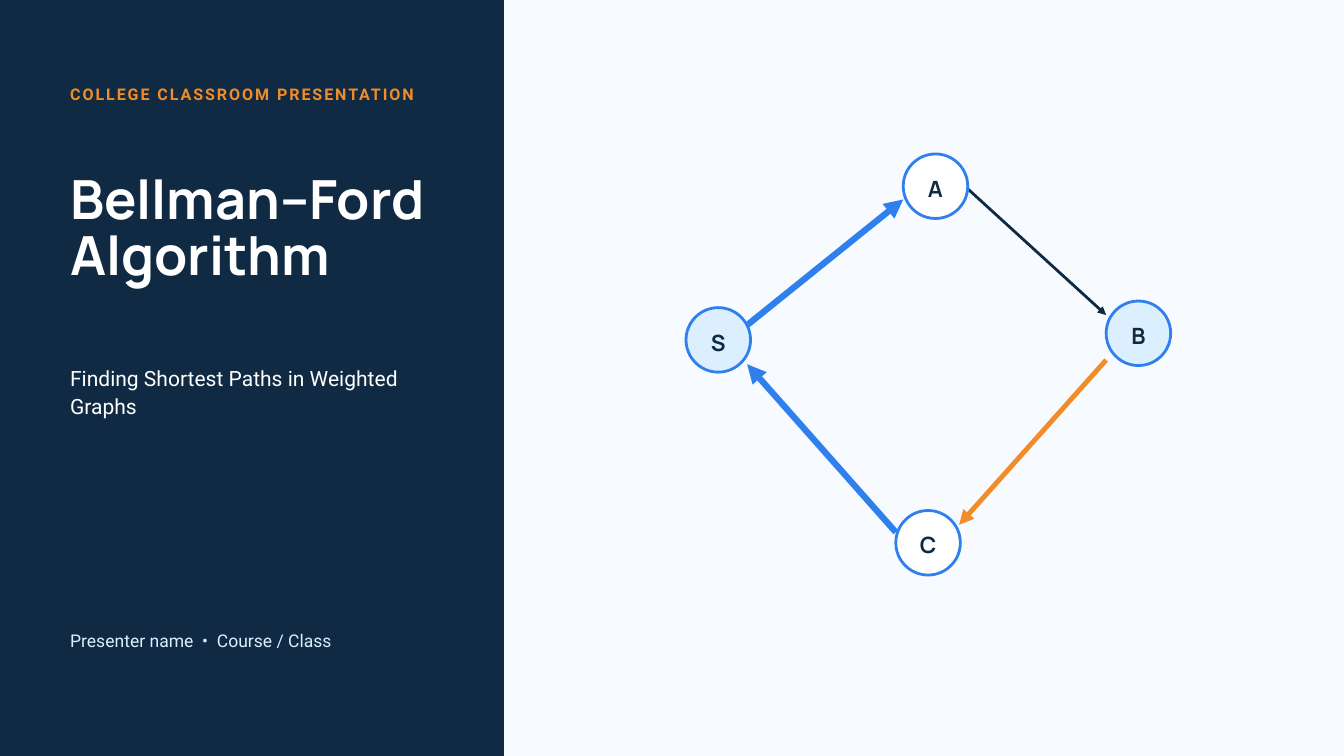
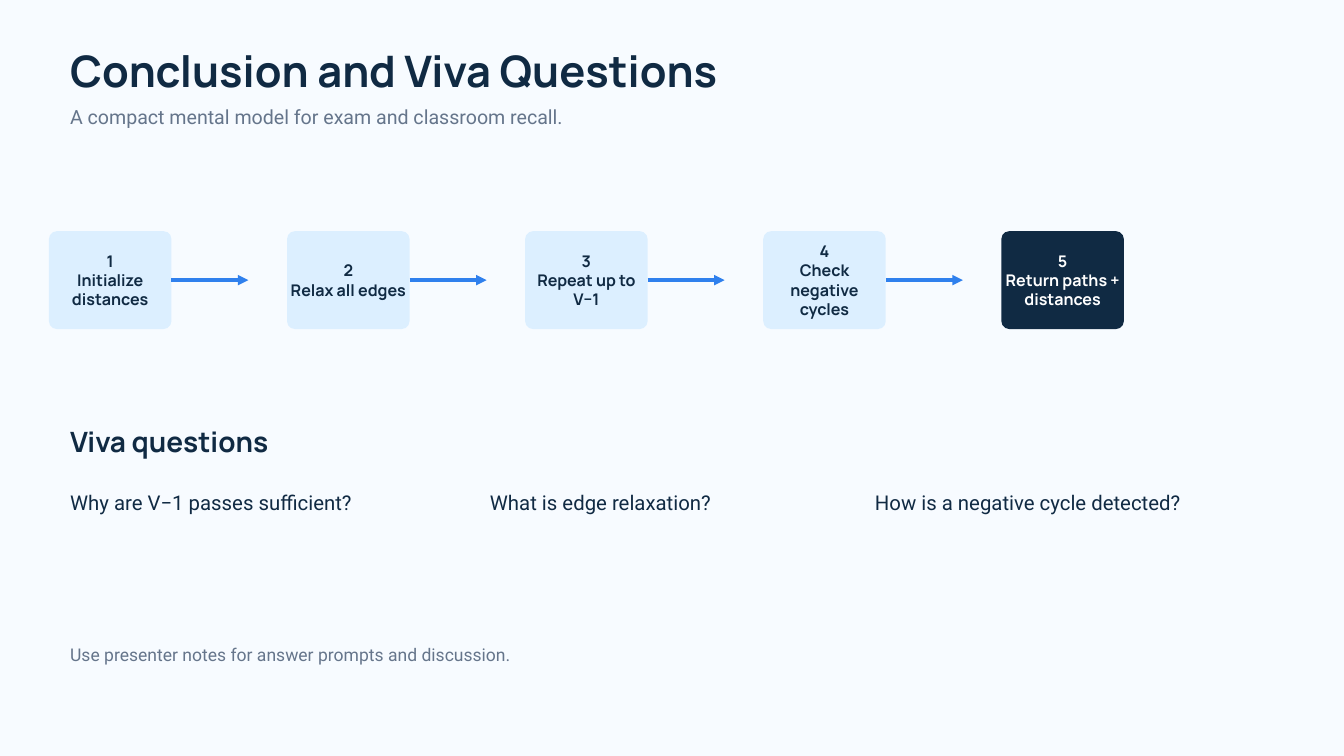
from lxml import etree
from pptx import Presentation
from pptx.dml.color import RGBColor
from pptx.enum.shapes import MSO_CONNECTOR, MSO_SHAPE
from pptx.enum.text import MSO_ANCHOR, MSO_AUTO_SIZE, PP_ALIGN
from pptx.oxml.ns import qn
from pptx.util import Cm, Pt

OVAL, CARD, PANEL = MSO_SHAPE.OVAL, MSO_SHAPE.ROUNDED_RECTANGLE, MSO_SHAPE.RECTANGLE
STRAIGHT = MSO_CONNECTOR.STRAIGHT
TOP, MIDDLE = MSO_ANCHOR.TOP, MSO_ANCHOR.MIDDLE
LEFT, CENTER = PP_ALIGN.LEFT, PP_ALIGN.CENTER
RIGHT_SIDE = 3
TITLE_LAYOUT, TITLE_ONLY_LAYOUT = 0, 5

COLORS = {
    "paper": "F7FBFF", "navy": "102A43", "sky": "DCEFFF", "blue": "2F80ED",
    "orange": "F28C28", "slate": "65758B", "white": "FFFFFF",
}

# font, size, bold, line spacing in points, colour
STYLES = {
    "eyebrow": ("Roboto", 17.2, True, 24.1, "orange"),
    "cover title": ("Manrope", 57.8, True, 60.6, "white"),
    "cover subtitle": ("Roboto", 22.5, False, 30.4, "white"),
    "presenter": ("Roboto", 18.8, False, 26.2, "sky"),
    "node": ("Manrope", 24, True, 33.6, "navy"),
    "title": ("Manrope", 46.5, True, 48.8, "navy"),
    "subtitle": ("Roboto", 21, False, 27.3, "slate"),
    "step": ("Manrope", 17.2, True, 20.7, "navy"),
    "last step": ("Manrope", 17.2, True, 20.7, "white"),
    "heading": ("Manrope", 30, True, 31.5, "navy"),
    "question": ("Roboto", 21.8, False, 28.3, "navy"),
    "note": ("Roboto", 18.8, False, 24.4, "slate"),
}

# Lengths below are centimetres.
SLIDE_WIDTH, SLIDE_HEIGHT = 50.8, 28.58
MARGIN = 2.65
PANEL_WIDTH = 19.05

COVER_TITLE = ["Bellman–Ford", "Algorithm"]
COVER_SUBTITLE = ["Finding Shortest Paths in Weighted Graphs"]
EYEBROW = ["COLLEGE CLASSROOM PRESENTATION"]
PRESENTER = ["Presenter name  •  Course / Class"]

NODE_SIZE = 2.44
NODES = [  # label, left, top, fill
    ("S", 25.93, 11.63, "sky"),
    ("A", 34.14, 5.82, "white"),
    ("B", 41.81, 11.38, "sky"),
    ("C", 33.86, 19.3, "white"),
]
EDGES = [  # start, end, colour, weight
    ((28.24, 12.29), (34.14, 7.54), "blue", 6.75),
    ((36.58, 7.14), (41.81, 11.91), "navy", 3),
    ((41.81, 13.61), (36.25, 19.84), "orange", 5.25),
    ((33.86, 20.12), (28.24, 13.77), "blue", 6.75),
]

STEPS = ["Initialize distances", "Relax all edges", "Repeat up to V−1",
         "Check negative cycles", "Return paths + distances"]
STEP_LEFT, STEP_TOP, STEP_PITCH = 1.85, 8.74, 9
STEP_WIDTH, STEP_HEIGHT, STEP_ARROW = 4.63, 3.7, 2.91

QUESTIONS = [  # text, left, width
    ("Why are V−1 passes sufficient?", MARGIN, 14.02),
    ("What is edge relaxation?", 18.52, 11.38),
    ("How is a negative cycle detected?", 33.07, 14.8),
]


def color(name):
    return RGBColor.from_string(COLORS[name])


def write(shape, lines, style, align=LEFT, anchor=TOP, inset=(0, 0)):
    """Fill a shape with one paragraph per line; inset is (sides, top and bottom)."""
    font_name, size, bold, spacing, ink = STYLES[style]
    side, end = map(Cm, inset)
    frame = shape.text_frame
    frame_format = {
        "word_wrap": True, "auto_size": MSO_AUTO_SIZE.NONE, "vertical_anchor": anchor,
        "margin_left": side, "margin_right": side, "margin_top": end, "margin_bottom": end,
    }
    for name, value in frame_format.items():
        setattr(frame, name, value)
    frame.text = "\n".join(lines)
    paragraph_format = {"alignment": align, "line_spacing": Pt(spacing),
                        "space_before": Pt(0), "space_after": Pt(0)}
    for paragraph in frame.paragraphs:
        for name, value in paragraph_format.items():
            setattr(paragraph, name, value)
        for run in paragraph.runs:
            for name, value in {"name": font_name, "size": Pt(size), "bold": bold}.items():
                setattr(run.font, name, value)
            run.font.color.rgb = color(ink)


def fill_placeholder(placeholder, lines, style, box):
    for name, value in zip(("left", "top", "width", "height"), box):
        setattr(placeholder, name, Cm(value))
    write(placeholder, lines, style)


def add_text(slide, lines, style, box):
    textbox = slide.shapes.add_textbox(*map(Cm, box))
    write(textbox, lines, style)
    return textbox


def add_block(slide, kind, box, fill, outline=None):
    block = slide.shapes.add_shape(kind, *map(Cm, box))
    block.shadow.inherit = False
    block.fill.solid()
    block.fill.fore_color.rgb = color(fill)
    if outline:
        block.line.color.rgb = color(outline)
        block.line.width = Pt(3)
    else:
        block.line.fill.background()
    return block


def add_arrow(slide, start, end, ink, weight):
    arrow = slide.shapes.add_connector(STRAIGHT, *map(Cm, (*start, *end)))
    arrow.line.color.rgb = color(ink)
    arrow.line.width = Pt(weight)
    etree.SubElement(arrow.line._get_or_add_ln(), qn("a:tailEnd"), type="triangle")
    etree.SubElement(arrow._element.spPr, qn("a:effectLst"))
    return arrow


def build_cover(prs):
    slide = prs.slides.add_slide(prs.slide_layouts[TITLE_LAYOUT])
    title, subtitle = slide.placeholders
    panel = add_block(slide, PANEL, (0, 0, PANEL_WIDTH, SLIDE_HEIGHT), "navy")
    title._element.addprevious(panel._element)  # keeps the panel behind the title

    eyebrow = add_text(slide, EYEBROW, "eyebrow", (MARGIN, 3.07, 13.23, 0.84))
    for run in eyebrow.text_frame.paragraphs[0].runs:
        run._r.get_or_add_rPr().set("spc", "210")
    fill_placeholder(title, COVER_TITLE, "cover title", (MARGIN, 6.55, 14.81, 4.47))
    fill_placeholder(subtitle, COVER_SUBTITLE, "cover subtitle", (MARGIN, 13.69, 13.49, 2.08))
    add_text(slide, PRESENTER, "presenter", (MARGIN, 23.7, 13.23, 0.89))

    for edge in EDGES:
        add_arrow(slide, *edge)
    for label, left, top, fill in NODES:
        node = add_block(slide, OVAL, (left, top, NODE_SIZE, NODE_SIZE), fill, "blue")
        write(node, [label], "node", CENTER, MIDDLE)


def build_conclusion(prs):
    slide = prs.slides.add_slide(prs.slide_layouts[TITLE_ONLY_LAYOUT])
    fill_placeholder(slide.shapes.title, ["Conclusion and Viva Questions"], "title",
                     (MARGIN, 1.93, 39.67, 1.88))
    add_text(slide, ["A compact mental model for exam and classroom recall."], "subtitle",
             (MARGIN, 3.89, 41.02, 0.97))

    for number, step in enumerate(STEPS, 1):
        is_last = number == len(STEPS)
        left = STEP_LEFT + (number - 1) * STEP_PITCH
        card = add_block(slide, CARD, (left, STEP_TOP, STEP_WIDTH, STEP_HEIGHT),
                         "navy" if is_last else "sky")
        card.adjustments[0] = 0.08
        write(card, [str(number), step], "last step" if is_last else "step",
              CENTER, MIDDLE, (0.05, 0.05))
        if not is_last:
            right, middle = left + STEP_WIDTH, STEP_TOP + STEP_HEIGHT / 2
            arrow = add_arrow(slide, (right, middle), (right + STEP_ARROW, middle), "blue", 3.75)
            arrow.begin_connect(card, RIGHT_SIDE)

    add_text(slide, ["Viva questions"], "heading", (MARGIN, 16.2, 13.23, 1.22))
    for question, left, width in QUESTIONS:
        add_text(slide, [question], "question", (left, 18.47, width, 0.97))
    add_text(slide, ["Use presenter notes for answer prompts and discussion."], "note",
             (MARGIN, 24.28, 23.83, 0.84))


def main():
    prs = Presentation()
    prs.slide_width, prs.slide_height = Cm(SLIDE_WIDTH), Cm(SLIDE_HEIGHT)
    backdrop = prs.slide_master.background.fill
    backdrop.solid()
    backdrop.fore_color.rgb = color("paper")
    build_cover(prs)
    build_conclusion(prs)
    prs.save("out.pptx")


if __name__ == "__main__":
    main()
